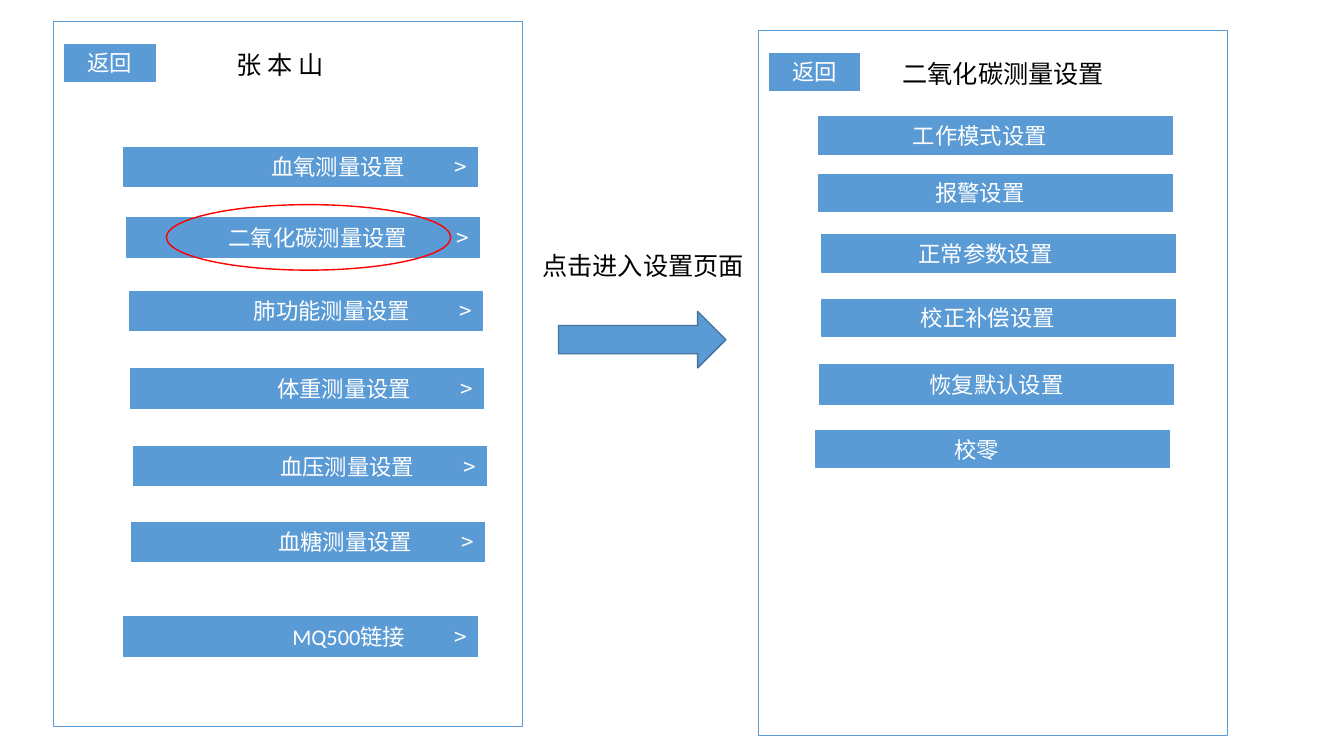
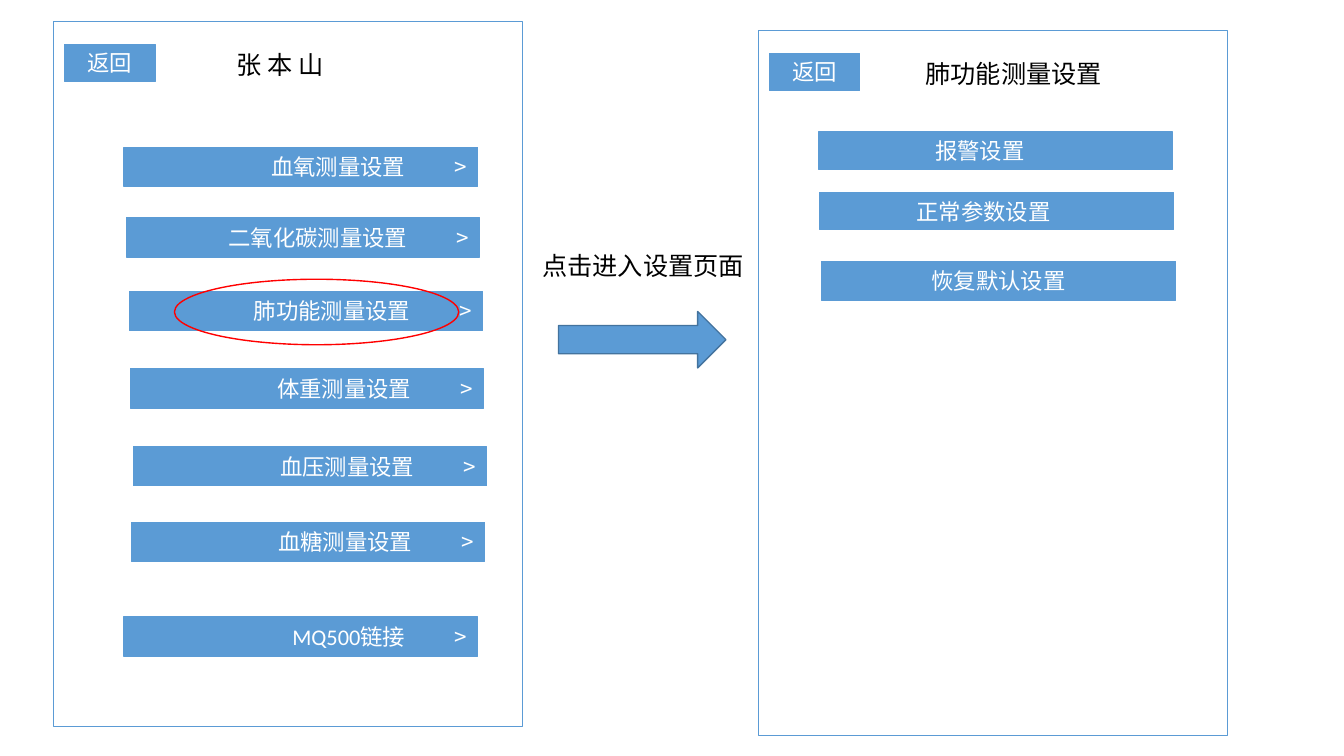
from dataclasses import dataclass

from lxml.etree import SubElement
from pptx import Presentation
from pptx.dml.color import RGBColor
from pptx.enum.shapes import MSO_SHAPE as Preset
from pptx.enum.text import MSO_ANCHOR as Anchor
from pptx.enum.text import MSO_AUTO_SIZE as AutoSize
from pptx.enum.text import PP_ALIGN as Align
from pptx.oxml.ns import qn
from pptx.shapes.autoshape import Shape
from pptx.slide import Slide
from pptx.text.text import TextFrame, _Paragraph as Paragraph
from pptx.util import Inches, Pt

BLUE = RGBColor(0x5B, 0x9B, 0xD5)
DARK_BLUE = RGBColor(0x43, 0x73, 0x9E)
RED = RGBColor(0xFF, 0x00, 0x00)
BLACK = RGBColor(0x00, 0x00, 0x00)
WHITE = RGBColor(0xFF, 0xFF, 0xFF)

LATIN_FONT = "Calibri"
CHINESE_FONT = "Noto Sans CJK SC"
HEADING = {"size": Pt(18), "name": LATIN_FONT, "bold": False}
LABEL = {"size": Pt(16), "name": LATIN_FONT, "bold": False}
CHEVRON = {**LABEL, "name": CHINESE_FONT}

TITLE_ONLY_LAYOUT = 5
BAR_WIDTH = 3.51
MENU_BAR_HEIGHT = 0.39
OPTION_BAR_HEIGHT = 0.37
MENU_TABS = (2.69, 3.3)  # right edges of the label and the chevron
SIDE_INSET = 0.1


@dataclass(frozen=True)
class Box:
    left: float
    top: float
    width: float
    height: float

    def lengths(self) -> tuple[int, int, int, int]:
        return (Inches(self.left), Inches(self.top),
                Inches(self.width), Inches(self.height))


@dataclass(frozen=True)
class MenuItem:
    text: str
    left: float
    top: float


@dataclass(frozen=True)
class Option:
    text: str
    left: float
    top: float
    extra_inset: float = 0.31  # moves the centred label to the left
    height: float = OPTION_BAR_HEIGHT


@dataclass(frozen=True)
class SettingsPage:
    title: str
    title_box: Box
    highlight: Box
    options: tuple[Option, ...]


MENU = (
    MenuItem("血氧测量设置", 1.23, 1.46),
    MenuItem("二氧化碳测量设置", 1.25, 2.16),
    MenuItem("肺功能测量设置", 1.28, 2.89),
    MenuItem("体重测量设置", 1.29, 3.66),
    MenuItem("血压测量设置", 1.32, 4.43),
    MenuItem("血糖测量设置", 1.3, 5.18),
    MenuItem("MQ500链接", 1.23, 6.12),
)

PAGES = (
    SettingsPage(
        "二氧化碳测量设置", Box(8.85, 0.53, 2.82, 0.4), Box(1.65, 2.03, 2.82, 0.65),
        (
            Option("工作模式设置", 8.12, 1.16),
            Option("报警设置", 8.12, 1.73),
            Option("正常参数设置", 8.15, 2.33, 0.26),
            Option("校正补偿设置", 8.15, 2.97, 0.21),
            Option("恢复默认设置", 8.13, 3.62, 0, MENU_BAR_HEIGHT),
            Option("校零", 8.09, 4.27),
        ),
    ),
    SettingsPage(
        "肺功能测量设置", Box(9.08, 0.53, 2.12, 0.4), Box(1.73, 2.77, 2.82, 0.65),
        (
            Option("报警设置", 8.12, 1.31),
            Option("正常参数设置", 8.13, 1.91, 0.26),
            Option("恢复默认设置", 8.15, 2.59, 0, MENU_BAR_HEIGHT),
        ),
    ),
)


def add_run(paragraph: Paragraph, text: str, formats: dict, color: RGBColor) -> None:
    run = paragraph.add_run()
    run.text = text
    for attribute, value in formats.items():
        setattr(run.font, attribute, value)
    run.font.color.rgb = color
    SubElement(run.font._element, qn("a:ea"), typeface=CHINESE_FONT)


def format_frame(frame: TextFrame, **formats) -> None:
    for attribute, value in {"auto_size": AutoSize.NONE, **formats}.items():
        setattr(frame, attribute, value)


def add_preset(slide: Slide, preset: Preset, box: Box, line: RGBColor,
               fill: RGBColor | None = None, line_width: float = 0.75) -> Shape:
    shape = slide.shapes.add_shape(preset, *box.lengths())
    shape.shadow.inherit = False
    if fill is None:
        shape.fill.background()
    else:
        shape.fill.solid()
        shape.fill.fore_color.rgb = fill
    shape.line.color.rgb = line
    shape.line.width = Pt(line_width)
    return shape


def add_bar(slide: Slide, box: Box, extra_inset: float = 0) -> Paragraph:
    """Draw a filled bar and return its empty paragraph."""
    frame = add_preset(slide, Preset.RECTANGLE, box, BLUE, BLUE).text_frame
    format_frame(frame, vertical_anchor=Anchor.MIDDLE, word_wrap=True,
                 margin_left=Inches(SIDE_INSET), margin_top=0, margin_bottom=0,
                 margin_right=Inches(SIDE_INSET + extra_inset))
    return frame.paragraphs[0]


def add_button(slide: Slide, text: str, box: Box, extra_inset: float = 0) -> None:
    paragraph = add_bar(slide, box, extra_inset)
    paragraph.alignment = Align.CENTER
    add_run(paragraph, text, LABEL, WHITE)


def add_menu_item(slide: Slide, item: MenuItem) -> None:
    paragraph = add_bar(slide, Box(item.left, item.top, BAR_WIDTH, MENU_BAR_HEIGHT))
    paragraph.alignment = Align.LEFT
    tabs = SubElement(paragraph._p.get_or_add_pPr(), qn("a:tabLst"))
    for position in MENU_TABS:
        SubElement(tabs, qn("a:tab"), pos=str(Inches(position)), algn="r")
    add_run(paragraph, f"\t{item.text}\t", LABEL, WHITE)
    add_run(paragraph, ">", CHEVRON, WHITE)


def write_heading(shape: Shape, text: str, wrap: bool = True) -> None:
    format_frame(shape.text_frame, word_wrap=wrap, vertical_anchor=Anchor.TOP)
    paragraph = shape.text_frame.paragraphs[0]
    paragraph.alignment = Align.LEFT
    add_run(paragraph, text, HEADING, BLACK)


def add_heading(slide: Slide, text: str, box: Box, wrap: bool = True) -> None:
    write_heading(slide.shapes.add_textbox(*box.lengths()), text, wrap)


def set_title(slide: Slide, text: str, box: Box) -> None:
    title = slide.shapes.title
    title.left, title.top, title.width, title.height = box.lengths()
    write_heading(title, text)


def add_screen(slide: Slide, left: float, top: float) -> None:
    """Draw an outlined screen with its return button."""
    add_preset(slide, Preset.RECTANGLE, Box(left, top, 4.65, 7), BLUE)
    add_button(slide, "返回", Box(left + 0.11, top + 0.23, 0.9, OPTION_BAR_HEIGHT))


def add_menu_screen(slide: Slide, highlight: Box) -> None:
    add_screen(slide, 0.53, 0.21)
    add_heading(slide, "张 本 山", Box(2.25, 0.44, 1.17, 0.4))
    for item in MENU:
        add_menu_item(slide, item)
    add_preset(slide, Preset.OVAL, highlight, RED, line_width=1)


def add_transition(slide: Slide) -> None:
    add_preset(slide, Preset.RIGHT_ARROW, Box(5.54, 3.09, 1.66, 0.56),
               DARK_BLUE, BLUE, line_width=1)
    add_heading(slide, "点击进入设置页面", Box(5.28, 2.43, 2.2, 0.4), wrap=False)


def add_settings_screen(slide: Slide, page: SettingsPage) -> None:
    add_screen(slide, 7.52, 0.3)
    set_title(slide, page.title, page.title_box)
    for option in page.options:
        box = Box(option.left, option.top, BAR_WIDTH, option.height)
        add_button(slide, option.text, box, option.extra_inset)


def main() -> None:
    presentation = Presentation()
    presentation.slide_width = Inches(13.33)
    presentation.slide_height = Inches(7.5)
    layout = presentation.slide_layouts[TITLE_ONLY_LAYOUT]
    for page in PAGES:
        slide = presentation.slides.add_slide(layout)
        add_menu_screen(slide, page.highlight)
        add_transition(slide)
        add_settings_screen(slide, page)
    presentation.save("out.pptx")


if __name__ == "__main__":
    main()
